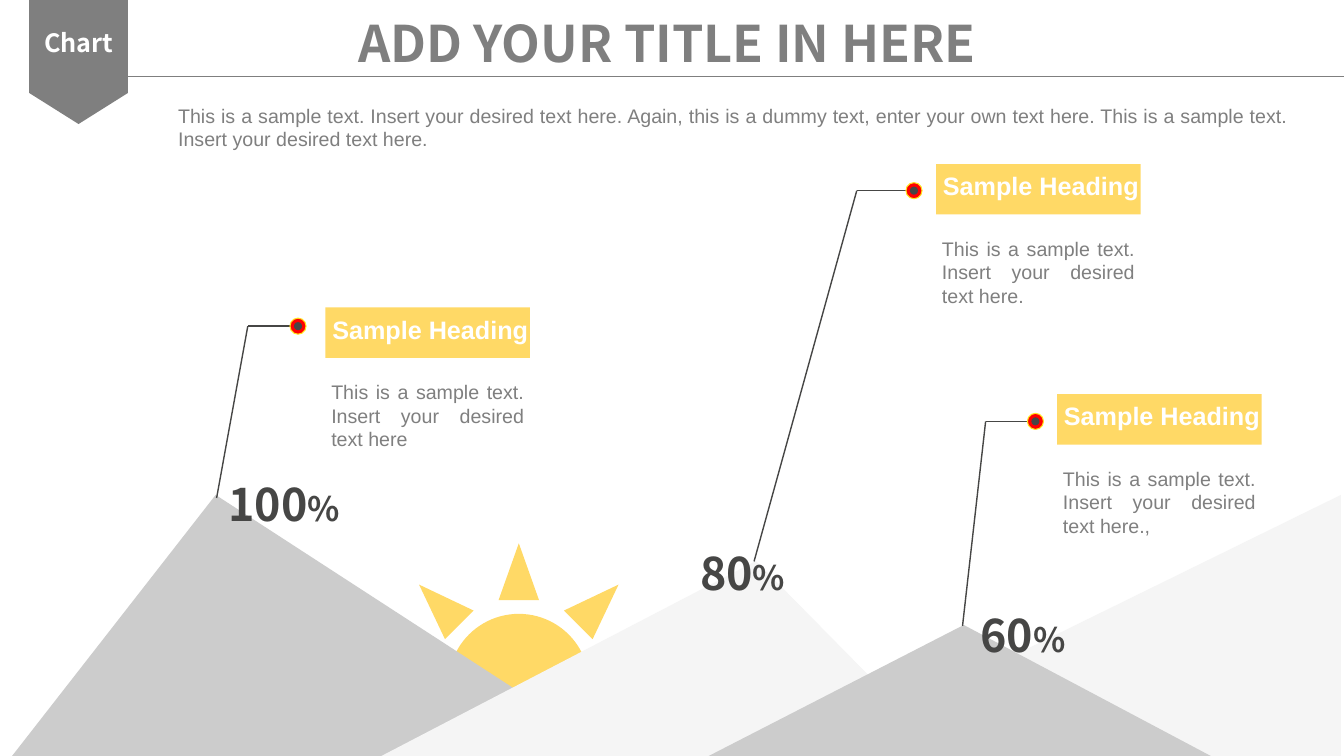
from lxml import etree
from pptx import Presentation
from pptx.dml.color import RGBColor
from pptx.enum.shapes import MSO_CONNECTOR, MSO_SHAPE
from pptx.enum.text import MSO_ANCHOR, PP_ALIGN
from pptx.oxml.ns import qn
from pptx.util import Pt

LINE = MSO_CONNECTOR.STRAIGHT
RECT, OVAL = MSO_SHAPE.RECTANGLE, MSO_SHAPE.OVAL
TRIANGLE, SUN = MSO_SHAPE.ISOSCELES_TRIANGLE, MSO_SHAPE.SUN
TOP, MIDDLE = MSO_ANCHOR.TOP, MSO_ANCHOR.MIDDLE
LEFT, CENTER, JUSTIFY = PP_ALIGN.LEFT, PP_ALIGN.CENTER, PP_ALIGN.JUSTIFY

WIDTH, HEIGHT = 960.5, 540
COLORS = {
    "grey": "7F7F7F", "white": "FFFFFF", "gold": "FFD966", "dark": "464645",
    "pale": "F5F5F5", "stone": "CCCCCC", "red": "FE0000", "yellow": "FFE51E",
}
SANS, DISPLAY = "Arial", "Noto Sans CJK SC"
FORMATS = {
    "tag": {"name": DISPLAY, "size": Pt(18), "bold": True, "color": "white"},
    "title": {"name": DISPLAY, "size": Pt(36), "bold": True, "color": "grey"},
    "body": {"name": SANS, "size": Pt(14), "color": "grey"},
    "heading": {"name": SANS, "size": Pt(18), "bold": True, "color": "white"},
    "number": {"name": DISPLAY, "size": Pt(32), "bold": True, "color": "dark"},
    "percent": {"name": DISPLAY, "size": Pt(24), "bold": True, "color": "dark"},
}
SAMPLE = "This is a sample text. Insert your desired text here"
INTRO = (SAMPLE + ". Again, this is a dummy text, enter your own text here. "
         + SAMPLE + ".")


def rgb(color):
    return RGBColor.from_string(COLORS[color])


def paint(sp, fill, line=None):
    sp.shadow.inherit = False
    sp.fill.solid()
    sp.fill.fore_color.rgb = rgb(fill)
    if line:
        sp.line.color.rgb = rgb(line)
        sp.line.width = Pt(0.75)
    else:
        sp.line.fill.background()
    return sp


def add_shape(s, kind, box, fill, line=None, adj=None):
    sp = paint(s.shapes.add_shape(kind, *map(Pt, box)), fill, line)
    if adj is not None:
        sp.adjustments[0] = adj
    return sp


def add_line(s, start, end, color, width):
    c = s.shapes.add_connector(LINE, *map(Pt, start + end))
    c.line.color.rgb = rgb(color)
    c.line.width = Pt(width)
    etree.SubElement(c._element.spPr, qn("a:effectLst"))


def write(sp, runs, align, insets, anchor=TOP, wrap=True):
    tf = sp.text_frame
    frame = {"word_wrap": wrap, "vertical_anchor": anchor}
    sides = ("margin_left", "margin_top", "margin_right", "margin_bottom")
    frame.update(zip(sides, map(Pt, insets)))
    for key, value in frame.items():
        setattr(tf, key, value)
    p = tf.paragraphs[0]
    p.alignment = align
    for text, style in runs:
        r = p.add_run()
        r.text = text
        for key, value in FORMATS[style].items():
            if key == "color":
                r.font.color.rgb = rgb(value)
            else:
                setattr(r.font, key, value)


def add_text(s, box, runs, align, insets=(7.2, 3.6, 7.2, 3.6)):
    write(s.shapes.add_textbox(*map(Pt, box)), runs, align, insets)


def add_ribbon(s, box):
    x, y, w, h = box
    shoulder = y + 0.75 * h
    fb = s.shapes.build_freeform(Pt(x), Pt(y))
    outline = [(x + w, y), (x + w, shoulder), (x + w / 2, y + h), (x, shoulder)]
    fb.add_line_segments([(Pt(a), Pt(b)) for a, b in outline], close=True)
    sp = paint(fb.convert_to_shape(), "grey")
    write(sp, [("Chart", "tag")], CENTER, (0, 19.4, 0, 0), wrap=False)


def add_header(s, box):
    x, y, w, h = box
    add_ribbon(s, (x + 20.9, y, 70.5, 88.6))
    add_text(s, (x + 131, y + 5, 691.2, 50.4),
             [("ADD YOUR TITLE IN HERE", "title")], CENTER)
    add_line(s, (x + 90, y + 54.7), (x + w, y + 54.7), "grey", 0.5)
    add_text(s, (x + 120.2, y + 74.2, 807.8, h - 74.2),
             [(INTRO, "body")], JUSTIFY, (7.2, 0, 7.2, 0))


def add_landscape(s, box):
    x, y, w, h = box
    base = y + h
    parts = [
        (TRIANGLE, 476.6, 481.7, 236.2, "pale", 1),
        (SUN, 270, 201.6, 201.6, "gold", 0.25),
        (TRIANGLE, -30.2, 548.6, 236.2, "stone", 0.336),
        (TRIANGLE, 177.1, 549.4, 189, "pale", 0.661),
        (TRIANGLE, 409.7, 549.4, 143.3, "stone", 0.508),
    ]
    for kind, left, width, height, fill, adj in parts:
        add_shape(s, kind, (x + left, base - height, width, height), fill, adj=adj)


def add_pointer(s, peak, knee, dot_x):
    dot = (dot_x, knee[1])
    add_line(s, knee, dot, "dark", 1)
    add_line(s, peak, knee, "dark", 1)
    for size, fill, line in ((11.5, "red", "yellow"), (5, "dark", "dark")):
        corner = [c - size / 2 for c in dot]
        add_shape(s, OVAL, (*corner, size, size), fill, line)


def add_card(s, box, text):
    x, y, w, h = box
    sp = add_shape(s, RECT, (x, y, w, 36), "gold")
    write(sp, [("Sample Heading", "heading")], CENTER, (3.6, 0, 0, 5), MIDDLE, False)
    add_text(s, (x - 2.9, y + 51.8, w + 5.8, h - 51.8),
             [(text, "body")], JUSTIFY, (7.2, 0, 7.2, 0))


def add_number(s, box, value):
    add_text(s, box, [(value, "number"), ("%", "percent")], LEFT)


def main():
    prs = Presentation()
    prs.slide_width, prs.slide_height = Pt(WIDTH), Pt(HEIGHT)
    s = prs.slides.add_slide(prs.slide_layouts[6])
    add_header(s, (0, 0, WIDTH, 150))
    add_landscape(s, (0, 353.5, WIDTH, 236.2))
    callouts = [
        ("100", (156.2, 337), (154.8, 355.7), (177.1, 233), 213, (232.6, 219.6), ""),
        ("80", (493.2, 385.9), (538.9, 401), (612.3, 136.2), 653.2, (669, 117.2), "."),
        ("60", (693.4, 430.6), (687.9, 447), (704.4, 301), 740, (755.5, 281.6), ".,"),
    ]
    for value, spot, peak, knee, dot_x, corner, ending in callouts:
        add_pointer(s, peak, knee, dot_x)
        add_number(s, (*spot, 128.9, 46), value)
        add_card(s, (*corner, 146.2, 110), SAMPLE + ending)
    prs.save("out.pptx")


if __name__ == "__main__":
    main()
